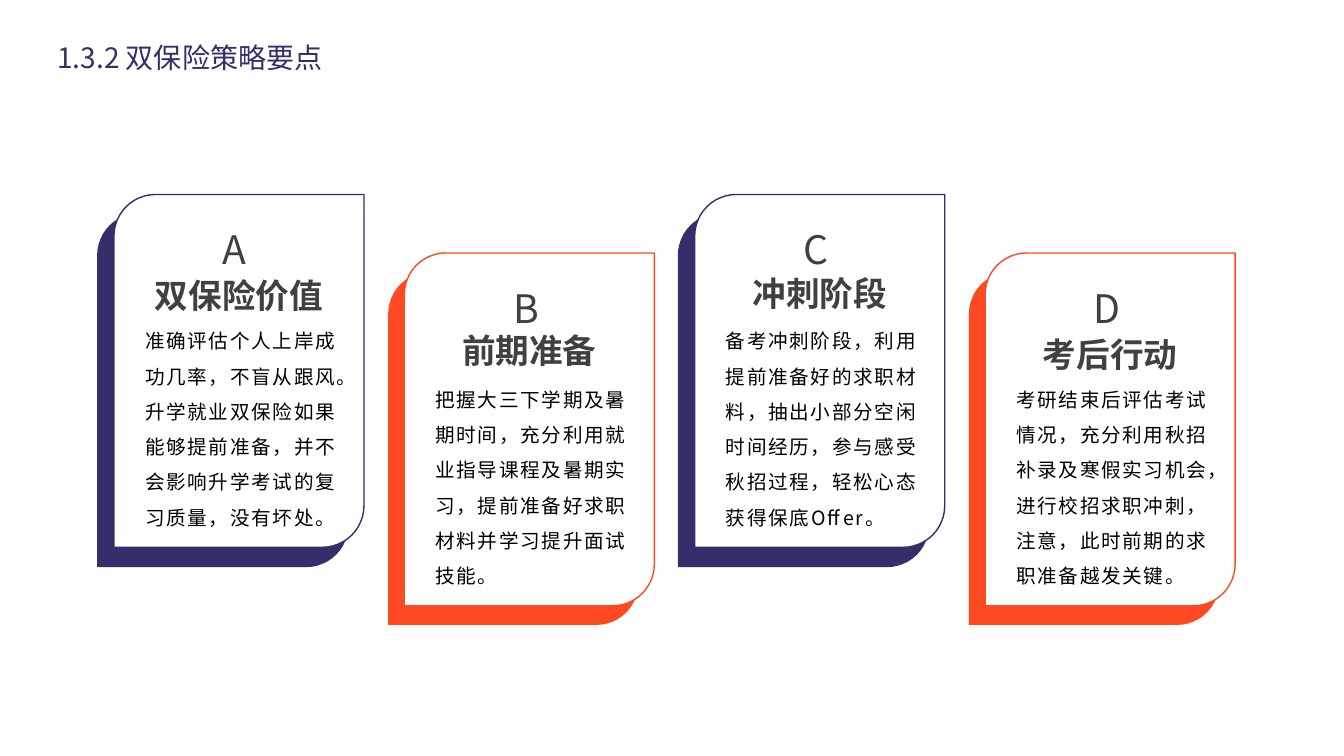
import pptx
import pptx.dml.color
import pptx.enum.shapes
import pptx.enum.text
import pptx.oxml.ns
import pptx.util
from lxml import etree
from pptx.util import Inches

FONT = "Noto Sans CJK SC"
NAVY, RED, GREY = "342E6A", "FF4922", "404040"
ALIGN = pptx.enum.text.PP_ALIGN
CARDS = [
    ("A", "双保险价值", 0.75, NAVY,
     ["准确评估个人上岸成功几率，不盲从跟风。",
      "升学就业双保险如果能够提前准备，并不会影响升学考试的复习质量，没有坏处。"]),
    ("B", "前期准备", 0.71, RED,
     ["把握大三下学期及暑期时间，充分利用就业指导课程及暑期实习，提前准备好求职材料并学习提升面试技能。"]),
    ("C", "冲刺阶段", 0.73, NAVY,
     ["备考冲刺阶段，利用提前准备好的求职材料，抽出小部分空闲时间经历，参与感受秋招过程，轻松心态获得保底Offer。"]),
    ("D", "考后行动", 0.75, RED,
     ["考研结束后评估考试情况，充分利用秋招补录及寒假实习机会，进行校招求职冲刺，注意，此时前期的求职准备越发关键。"]),
]


def color(code):
    """Turn a hex string into a colour."""
    return pptx.dml.color.RGBColor.from_string(code)


def add_text(shapes, lines, left, top, width, height, size, tint=GREY, bold=False,
             align=None, middle=False, space=None, track=0, wrap=True):
    """Add a text box with one paragraph per line."""
    box = shapes.add_textbox(Inches(left), Inches(top), Inches(width), Inches(height))
    frame = box.text_frame
    frame.word_wrap = wrap
    frame.auto_size = pptx.enum.text.MSO_AUTO_SIZE.SHAPE_TO_FIT_TEXT
    if middle:
        frame.vertical_anchor = pptx.enum.text.MSO_ANCHOR.MIDDLE
    for num, line in enumerate(lines):
        para = frame.add_paragraph() if num else frame.paragraphs[0]
        para.alignment = align
        para.line_spacing = space
        run = para.add_run()
        run.text = line
        font = run.font
        font.name, font.size, font.bold = FONT, pptx.util.Pt(size), bold
        font.color.rgb = color(tint)
        props = run._r.get_or_add_rPr()
        etree.SubElement(props, pptx.oxml.ns.qn("a:ea"), typeface=FONT)
        if track:
            props.set("spc", str(round(track * 100)))


def add_panel(shapes, left, top, fill, line):
    """Add a panel with two opposite corners rounded."""
    kind = pptx.enum.shapes.MSO_SHAPE.ROUND_2_DIAG_RECTANGLE
    panel = shapes.add_shape(kind, Inches(left), Inches(top), Inches(2.48), Inches(3.5))
    panel.shadow.inherit = False
    panel.fill.solid()
    panel.fill.fore_color.rgb = color(fill)
    if line:
        panel.line.color.rgb = color(line)
        panel.line.width = pptx.util.Pt(1)
    else:
        panel.line.fill.background()


def add_card(slide, left, top, letter, head, drop, tint, body):
    """Add a group of two offset panels and their text."""
    shapes = slide.shapes.add_group_shape().shapes
    add_panel(shapes, left - 0.16, top + 0.19, tint, tint if tint == NAVY else None)
    add_panel(shapes, left, top, "FFFFFF", tint)
    add_text(shapes, [head], left + 0.11, top + drop, 2.26, 0.5, 24, bold=True,
             align=ALIGN.CENTER, middle=True)
    add_text(shapes, body, left + 0.21, top + 1.17, 2.14, 2.22, 14, tint="000000",
             space=1.5, track=1.2)
    add_text(shapes, [letter], left + 0.98, top + 0.26, 0.49, 0.57, 28,
             align=ALIGN.JUSTIFY)


def main():
    """Build the slide and save it."""
    deck = pptx.Presentation()
    deck.slide_width, deck.slide_height = Inches(13.33), Inches(7.5)
    slide = deck.slides.add_slide(deck.slide_layouts[6])
    for num, card in enumerate(CARDS):
        add_card(slide, 1.13 + 2.88 * num, 1.93 + 0.58 * (num % 2), *card)
    add_text(slide.shapes, ["1.3.2 双保险策略要点"], 0.47, 0.35, 2.98, 0.44, 20,
             tint=NAVY, wrap=False)
    deck.save("out.pptx")


if __name__ == "__main__":
    main()
